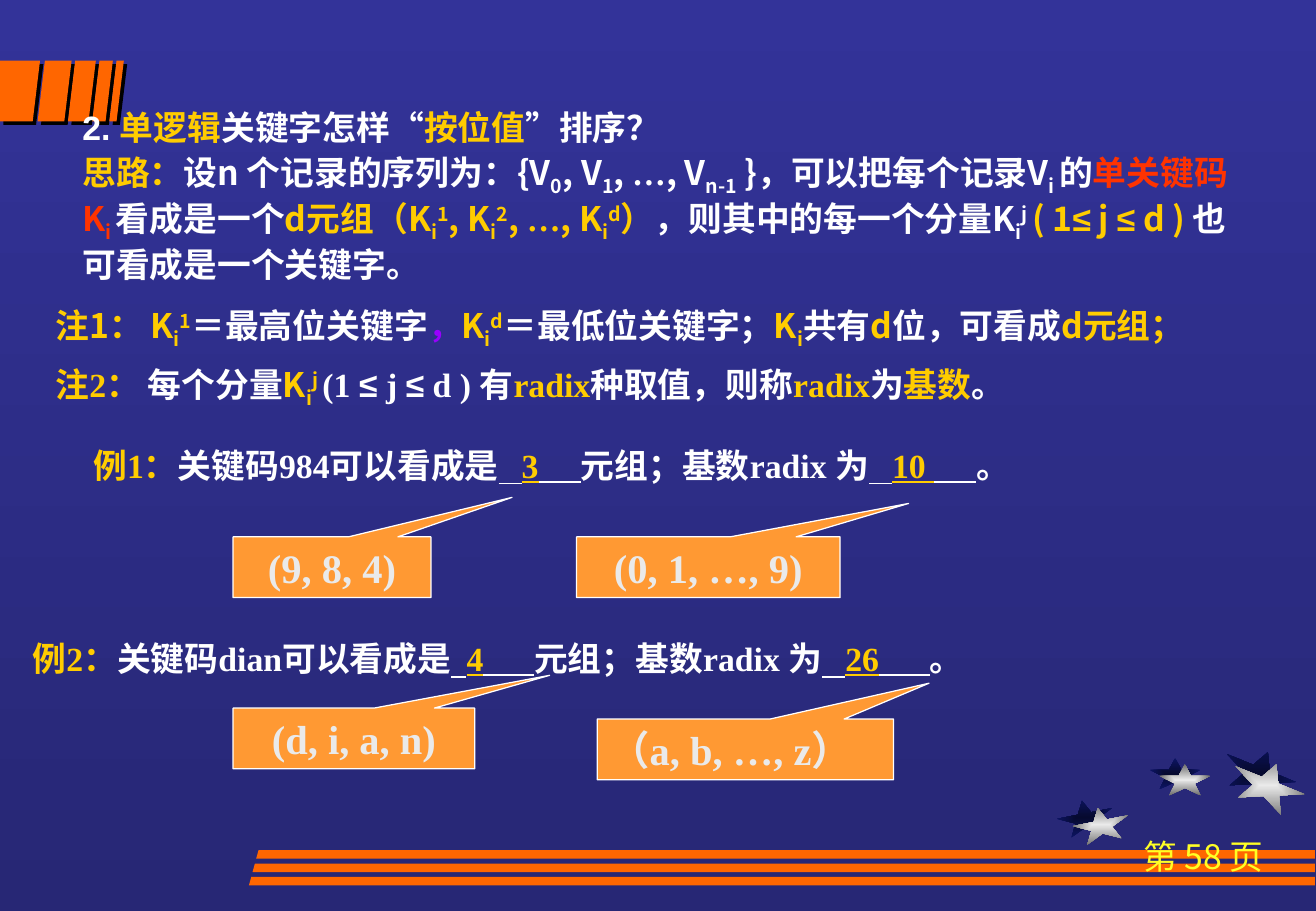
"""Build the slide on sorting a single key by its digit values."""
from typing import NamedTuple

from lxml.etree import SubElement
from pptx import Presentation
from pptx.dml.color import RGBColor
from pptx.enum.shapes import MSO_SHAPE
from pptx.enum.text import MSO_ANCHOR, PP_ALIGN
from pptx.oxml.ns import qn
from pptx.util import Inches, Pt

WHITE, GOLD, RED, PURPLE = "FFFFFF", "FFCC00", "FF3300", "9900FF"
ORANGE, SILVER = "FF6600", "EAEAEA"
SANS, SERIF, ARIAL = "Noto Sans CJK SC", "Times New Roman", "Arial"
SUB, SUP = -25, 30
STAR = [(0, 0.38), (0.38, 0.38), (0.5, 0), (0.62, 0.38), (1, 0.38),
        (0.69, 0.62), (0.81, 1), (0.5, 0.76), (0.19, 1), (0.31, 0.62)]


class Run(NamedTuple):
    text: str
    color: str = WHITE
    base: int = 0
    font: str = SANS
    underline: bool = False
    size: float = 20
    bold: bool = True


class Para(NamedTuple):
    runs: list[Run]
    align: PP_ALIGN = PP_ALIGN.LEFT
    before: float = 0
    spacing: float = 1


class TextBox(NamedTuple):
    left: float
    top: float
    width: float
    height: float
    paras: list[Para]
    wrap: bool = True


class Callout(NamedTuple):
    left: float
    top: float
    width: float
    text: str
    tip: tuple[float, float]
    align: PP_ALIGN = PP_ALIGN.CENTER


class Star(NamedTuple):
    left: float
    top: float
    width: float
    height: float
    rotation: float
    center: str
    edge: str


class Bar(NamedTuple):
    top: float
    bottom: float
    top_left: float
    top_right: float
    bottom_right: float
    bottom_left: float


def rgb(value: str) -> RGBColor:
    return RGBColor.from_string(value)


def key(color: str, power: str = "", lead: str = "K") -> list[Run]:
    runs = [Run(lead, color), Run("i", color, SUB)]
    return runs + [Run(power, color, SUP)] if power else runs


def serif(text: str, color: str = WHITE, underline: bool = False) -> Run:
    return Run(text, color, font=SERIF, underline=underline)


def example(number: int, word: str, length: str, radix: str, blanks: list[int]) -> list[Run]:
    gaps = [serif(" " * n, underline=True) for n in blanks]
    return [serif(f"例{number}：", GOLD), serif(f"关键码{word}可以看成是"),
            gaps[0], serif(length, GOLD, True), gaps[1], serif("元组；基数radix 为"),
            gaps[2], serif(radix, GOLD, True), gaps[3], serif("。")]


def write(tf, paras: list[Para]) -> None:
    for i, para in enumerate(paras):
        p = tf.paragraphs[0] if i == 0 else tf.add_paragraph()
        p.alignment, p.line_spacing = para.align, para.spacing
        p.space_before = Pt(para.before)
        for run in para.runs:
            r = p.add_run()
            r.text = run.text
            r.font.size, r.font.bold, r.font.name = Pt(run.size), run.bold, run.font
            r.font.underline = run.underline
            r.font.color.rgb = rgb(run.color)
            props = r._r.get_or_add_rPr()
            SubElement(props, qn("a:ea"), typeface=SANS)
            if run.base:
                props.set("baseline", str(run.base * 1000))


def set_gradient(fill, start: str, end: str) -> None:
    fill.gradient()
    for stop, color, position in zip(fill.gradient_stops, (start, end), (0, 1)):
        stop.color.rgb, stop.position = rgb(color), position


def add_outline(s, points: list[tuple[float, float]]):
    corners = [(Inches(x), Inches(y)) for x, y in points]
    builder = s.shapes.build_freeform(*corners[0])
    builder.add_line_segments(corners[1:], close=True)
    sp = builder.convert_to_shape()
    sp.shadow.inherit = False
    sp.line.fill.background()
    return sp


def add_star(s, star: Star) -> None:
    sp = add_outline(s, [(star.left + x * star.width, star.top + y * star.height) for x, y in STAR])
    sp.rotation = star.rotation
    set_gradient(sp.fill, star.center, star.edge)
    grad = sp._element.spPr.find(qn("a:gradFill"))
    grad.remove(grad.find(qn("a:lin")))
    shade = SubElement(grad, qn("a:path"))
    shade.set("path", "rect")
    SubElement(shade, qn("a:fillToRect"), l="50000", t="50000", r="50000", b="50000")


def add_bar(s, bar: Bar, shadow: bool) -> None:
    sp = add_outline(s, [(bar.top_left, bar.top), (bar.top_right, bar.top),
                         (bar.bottom_right, bar.bottom), (bar.bottom_left, bar.bottom)])
    sp.fill.solid()
    sp.fill.fore_color.rgb = rgb(ORANGE)
    if shadow:
        effects = sp._element.spPr.find(qn("a:effectLst"))
        outer = SubElement(effects, qn("a:outerShdw"), blurRad="0", dist=str(Pt(2.8)), dir="2700000")
        SubElement(outer, qn("a:srgbClr"), val="000000")


def add_text(s, box: TextBox) -> None:
    tf = s.shapes.add_textbox(*map(Inches, box[:4])).text_frame
    tf.word_wrap = box.wrap
    write(tf, box.paras)


def add_callout(s, callout: Callout) -> None:
    sp = s.shapes.add_shape(MSO_SHAPE.RECTANGULAR_CALLOUT, Inches(callout.left),
                            Inches(callout.top), Inches(callout.width), Inches(0.5))
    sp.shadow.inherit = False
    sp.adjustments[0], sp.adjustments[1] = callout.tip
    sp.fill.solid()
    sp.fill.fore_color.rgb = rgb("FF9933")
    sp.line.color.rgb, sp.line.width = rgb(WHITE), Pt(0.75)
    sp.text_frame.vertical_anchor = MSO_ANCHOR.MIDDLE
    write(sp.text_frame, [Para([Run(callout.text, SILVER, font=SERIF, size=24)], callout.align)])


QUESTION = [Run("2. ", font=ARIAL), Run("单逻辑", GOLD, font=ARIAL), Run("关键字怎样“", font=ARIAL),
            Run("按位值", GOLD, font=ARIAL), Run("”排序？", font=ARIAL)]
IDEA = [Run("思路：", GOLD), Run("设n 个记录的序列为：{V"), Run("0", base=SUB), Run(", V"),
        Run("1", base=SUB), Run(", "), serif("…"), Run(", V"), Run("n-1", base=SUB),
        Run(" }，可以把每个记录V"), Run("i ", base=SUB), Run("的"),
        Run("单关键码 K", RED), Run("i ", RED, SUB), Run("看成是一个"),
        *key(GOLD, "1", "d元组（K"), *key(GOLD, "2", ", K"), Run(", ", GOLD), serif("…", GOLD),
        *key(GOLD, "d", ", K"), Run("）", GOLD), *key(WHITE, "j ", "，则其中的每一个分量K"),
        Run("( 1", GOLD), Run("≤", GOLD, font=ARIAL), Run(" j ", GOLD),
        Run("≤", GOLD, font=ARIAL), Run(" d ) ", GOLD), Run("也可看成是一个关键字。")]
NOTE_1 = [*key(GOLD, "1", "注1： K"), Run("＝最高位关键字"), Run("，", PURPLE), *key(GOLD, "d"),
          Run("＝最低位关键字；"), *key(GOLD), Run("共有"), Run("d", GOLD), Run("位，可看成"),
          Run("d元组；", GOLD)]
NOTE_2 = [serif("注2：", GOLD), serif(" 每个分量"), *key(GOLD, "j "), serif("(1 "),
          Run("≤", font=ARIAL), serif(" j "), Run("≤", font=ARIAL), serif(" d ) 有"),
          serif("radix", GOLD), serif("种取值，则称"), serif("radix", GOLD), serif("为"),
          serif("基数", GOLD), serif("。")]
PAGE = [Run("第 58 页", "FFFF25", bold=False)]

TEXTS = [
    TextBox(9, 6.83, 1.83, 0.6, [Para(PAGE, PP_ALIGN.CENTER)]),
    TextBox(0.58, 0.83, 9.89, 1.61, [Para(QUESTION), Para(IDEA, before=2.5)]),
    TextBox(0.36, 2.42, 10.47, 1.01, [Para(NOTE_1, PP_ALIGN.JUSTIFY, spacing=1.1),
                                      Para(NOTE_2, PP_ALIGN.JUSTIFY, 5, 1.1)]),
    TextBox(0.67, 3.58, 9.69, 0.54, [Para(example(1, "984", "3", "10 ", [3, 5, 3, 5]), spacing=1.1)]),
    TextBox(0.17, 5.17, 8.91, 0.47, [Para(example(2, "dian", "4", "26", [2, 6, 3, 6]), spacing=1.1)],
            wrap=False),
]
CALLOUTS = [
    Callout(1.92, 4.42, 1.63, "(9, 8, 4)", (0.91, -1.15)),
    Callout(4.75, 4.42, 2.17, "(0, 1, …, 9)", (0.76, -1.05)),
    Callout(4.92, 5.92, 2.44, "（a, b, …, z）", (0.62, -1.09), PP_ALIGN.LEFT),
    Callout(1.92, 5.83, 1.99, "(d, i, a, n)", (0.81, -1.04)),
]
STARS = [Star(*place, *colors)
         for colors, places in (
             (("060A2F", "0D1565"), [(8.71, 6.59, 0.46, 0.28, 349), (9.47, 6.24, 0.42, 0.26, 0),
                                     (10.07, 6.18, 0.61, 0.37, 22)]),
             ((SILVER, "6C6C6C"), [(8.84, 6.65, 0.46, 0.28, 349), (9.55, 6.29, 0.42, 0.26, 0),
                                   (10.14, 6.28, 0.61, 0.37, 22)]))
         for place in places]
SLATS = [Bar(0.5, 1, 0, 0.33, 0.27, 0)] + [
    Bar(0.5, 1, x + 0.06, x + w + 0.06, x + w, x)
    for x, w in ((0.31, 0.22), (0.56, 0.17), (0.76, 0.11), (0.9, 0.06))]
STRIPES = [Bar(7 + 0.11 * i, 7.07 + 0.11 * i, 2.13 - 0.03 * i, 10.83, 10.83, 2.11 - 0.03 * i)
           for i in range(3)]


def main() -> None:
    prs = Presentation()
    prs.slide_width, prs.slide_height = Inches(10.84), Inches(7.5)
    s = prs.slides.add_slide(prs.slide_layouts[6])
    set_gradient(s.background.fill, "333399", "272775")
    s.background.fill.gradient_angle = 270
    for star in STARS:
        add_star(s, star)
    for bar in SLATS + STRIPES:
        add_bar(s, bar, bar in SLATS)
    for callout in CALLOUTS:
        add_callout(s, callout)
    for box in TEXTS:
        add_text(s, box)
    prs.save("out.pptx")


if __name__ == "__main__":
    main()
